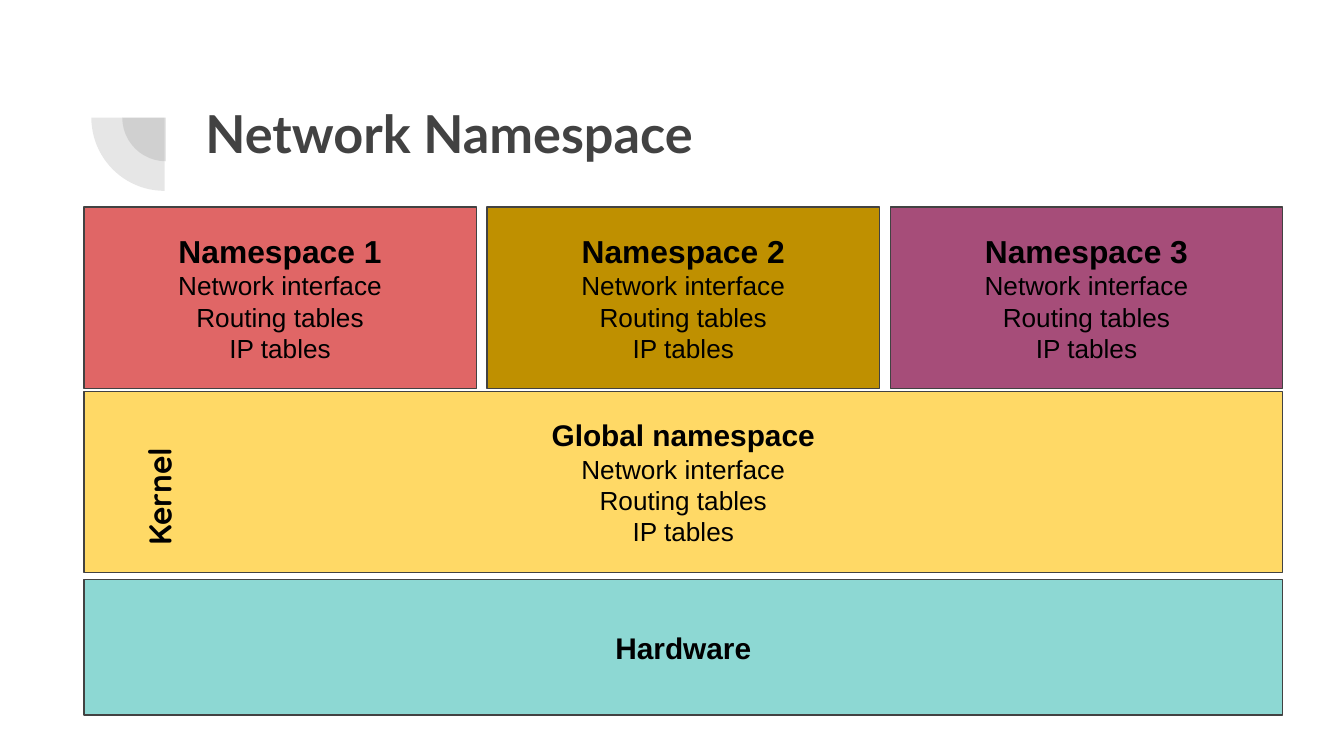
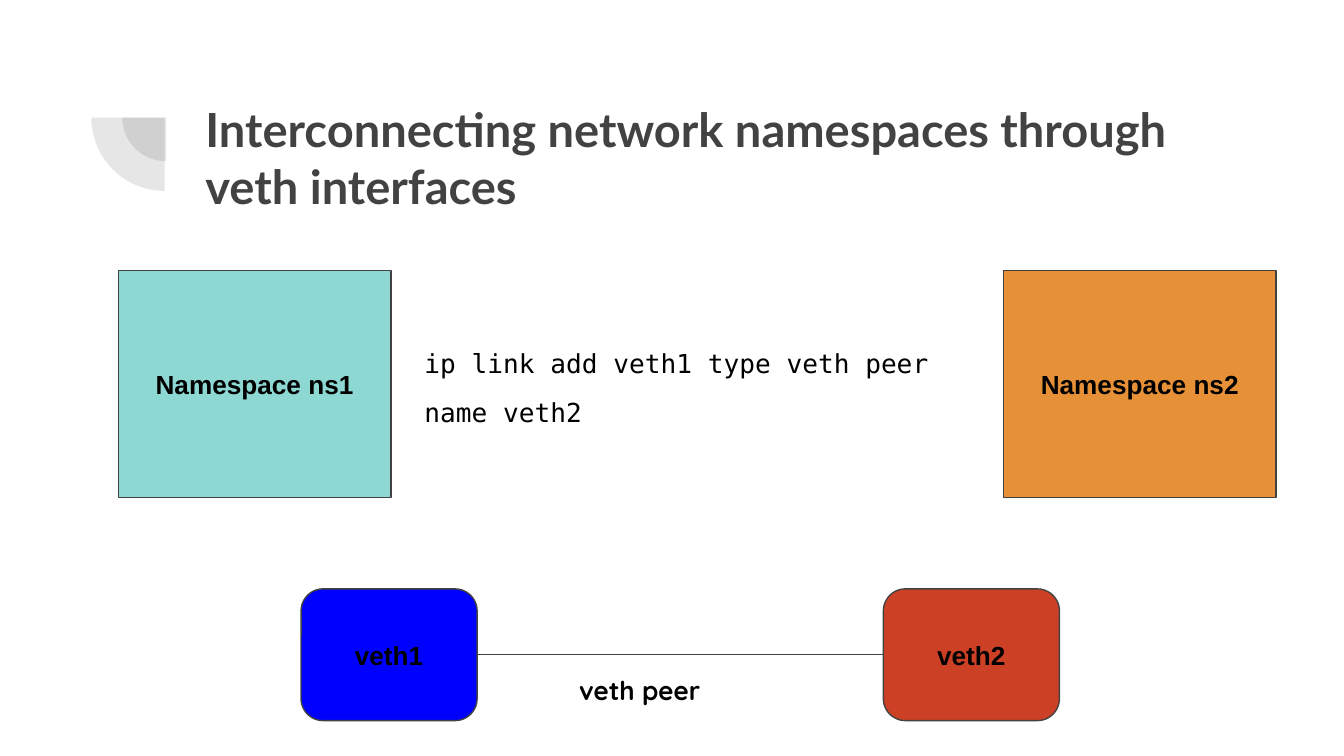
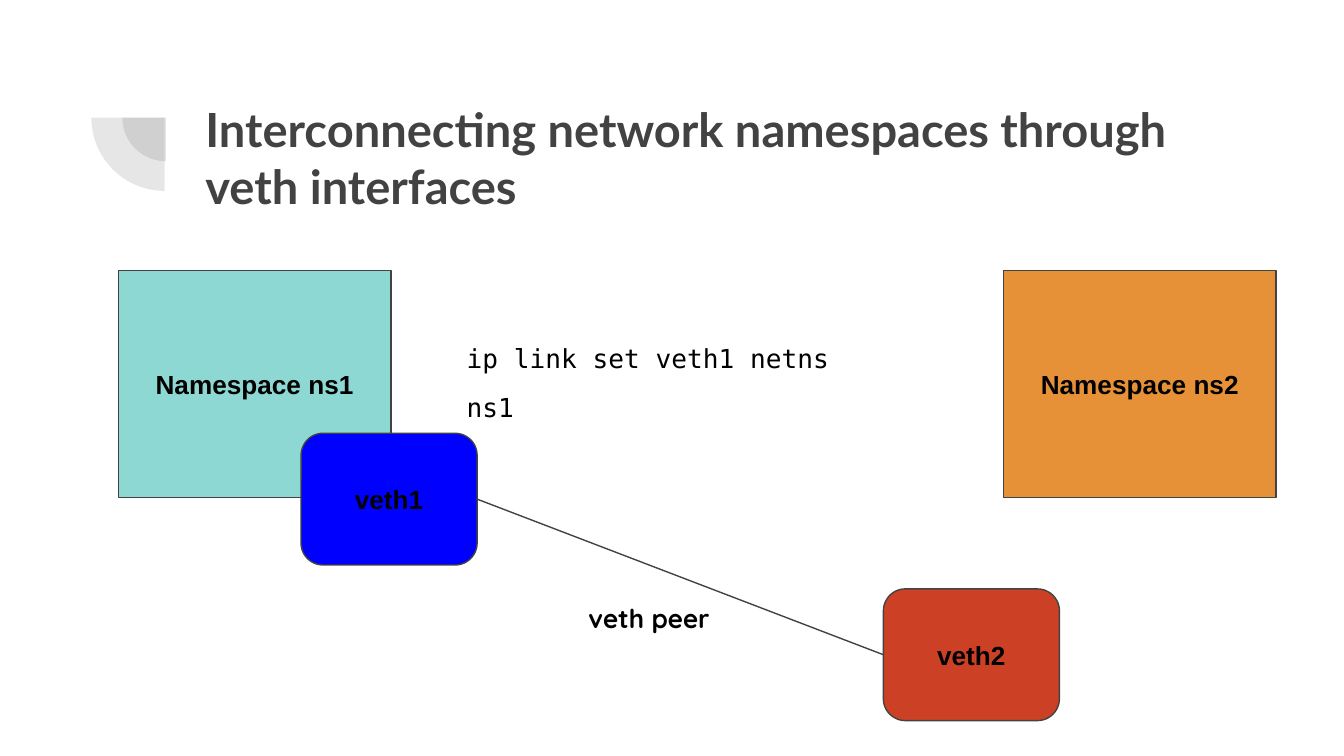
from dataclasses import dataclass

from lxml.etree import SubElement
from pptx import Presentation
from pptx.dml.color import RGBColor
from pptx.enum.shapes import MSO_CONNECTOR, MSO_SHAPE
from pptx.enum.text import MSO_ANCHOR, PP_ALIGN
from pptx.oxml.ns import qn
from pptx.util import Inches, Pt


@dataclass(frozen=True)
class Theme:
    ink: str = "424242"
    text: str = "000000"
    teal: str = "8DD8D3"
    yellow: str = "FFD966"
    coral: str = "E06666"
    gold: str = "BF9000"
    plum: str = "A64D79"
    orange: str = "E69138"
    blue: str = "0000FF"
    red: str = "CC4125"
    ornament_alpha: int = 13000
    body_font: str = "Arial"
    title_font: str = "Lato"
    label_font: str = "Quicksand"
    code_font: str = "DejaVu Sans Mono"
    title_size: float = 28
    long_title_size: float = 25.2
    large_size: float = 17
    heading_size: float = 16
    body_size: float = 14
    line_width: float = 0.75
    code_spacing: float = 1.57


theme = Theme()
presentation = Presentation()
presentation.slide_width = Inches(10)
presentation.slide_height = presentation.slide_width * 9 // 16
cell = presentation.slide_width / 100
inset = Inches(0.1)


def write_text(shape, text, size, font=theme.body_font, color=theme.text, bold=True, centered=False):
    text_frame = shape.text_frame
    text_frame.word_wrap = True
    text_frame.margin_left = text_frame.margin_right = inset
    text_frame.margin_top = text_frame.margin_bottom = inset
    text_frame.vertical_anchor = MSO_ANCHOR.MIDDLE if centered else MSO_ANCHOR.TOP
    text_frame.text = text
    for index, paragraph in enumerate(text_frame.paragraphs):
        paragraph.alignment = PP_ALIGN.CENTER if centered else PP_ALIGN.LEFT
        for run in paragraph.runs:
            run.font.name = font
            run.font.size = Pt(size if index == 0 else theme.body_size)
            run.font.bold = bold and index == 0
            run.font.color.rgb = RGBColor.from_string(color)


def add_block(slide, kind, box, fill, text="", size=theme.body_size):
    shape = slide.shapes.add_shape(kind, *[int(length * cell) for length in box])
    shape.shadow.inherit = False
    shape.fill.solid()
    shape.fill.fore_color.rgb = RGBColor.from_string(fill)
    if text:
        shape.line.color.rgb = RGBColor.from_string(theme.ink)
        shape.line.width = Pt(theme.line_width)
        write_text(shape, text, size, centered=True)
    else:
        shape.line.fill.background()
    return shape


veth_title = "Interconnecting network namespaces through veth interfaces"
slides = []
for title, size in (
    ("Network Namespace", theme.title_size),
    (veth_title, theme.long_title_size),
    (veth_title, theme.long_title_size),
):
    slide = presentation.slides.add_slide(presentation.slide_layouts[6])
    slides.append(slide)
    for box in ((9.1, 5.5, 6.5, 6.5), (6.8, 3.3, 10.9, 10.9)):
        ornament = add_block(slide, MSO_SHAPE.PIE, box, theme.ink)
        ornament.adjustments[0] = 108
        ornament.adjustments[1] = 162
        ornament.rotation = 270
        color_element = ornament.fill._xPr.find(qn("a:solidFill"))[0]
        SubElement(color_element, qn("a:alpha")).set("val", str(theme.ornament_alpha))
    title_box = slide.shapes.add_textbox(*[int(length * cell) for length in (14.3, 6.5, 76.9, 10.9)])
    write_text(title_box, title, size, theme.title_font, theme.ink)

stack_slide = slides[0]
resources = "\nNetwork interface\nRouting tables\nIP tables"
stack_left, stack_width = 6.24, 89.2
layer_height, namespace_gap = 13.5, 0.8
namespace_width = (stack_width - 2 * namespace_gap) / 3
add_block(stack_slide, MSO_SHAPE.RECTANGLE, (stack_left, 43.12, stack_width, 10.1),
          theme.teal, "Hardware", theme.heading_size)
add_block(stack_slide, MSO_SHAPE.RECTANGLE, (stack_left, 29.12, stack_width, layer_height),
          theme.yellow, "Global namespace" + resources, theme.heading_size)
kernel_label = stack_slide.shapes.add_textbox(*[int(length * cell) for length in (7, 34.3, 9.7, 4.9)])
kernel_label.rotation = 270
write_text(kernel_label, "Kernel", theme.large_size, theme.label_font)
for index, fill in enumerate((theme.coral, theme.gold, theme.plum)):
    left = stack_left + index * (namespace_width + namespace_gap)
    add_block(stack_slide, MSO_SHAPE.RECTANGLE, (left, 15.4, namespace_width, layer_height),
              fill, f"Namespace {index + 1}{resources}", theme.large_size)

for slide, command, command_box, space_after, veth1_top, peer_box in (
    (slides[1], "ip link add veth1 type veth peer name veth2",
     (29.8, 23.5, 41.7, 14.3), 0, 43.82, (42.1, 49.2, 13.1, 4.4)),
    (slides[2], "ip link set veth1 netns ns1",
     (32.94, 23.16, 32.8, 4.4), 18, 32.24, (42.8, 43.84, 13.1, 4.4)),
):
    for name, left, fill in (("ns1", 8.8, theme.teal), ("ns2", 74.66, theme.orange)):
        add_block(slide, MSO_SHAPE.RECTANGLE, (left, 20.13, 20.3, 16.9), fill, f"Namespace {name}")

    command_label = slide.shapes.add_textbox(*[int(length * cell) for length in command_box])
    write_text(command_label, command, theme.body_size, theme.code_font, bold=False)
    paragraph = command_label.text_frame.paragraphs[0]
    paragraph.line_spacing = theme.code_spacing
    paragraph.space_after = Pt(space_after)
    paragraph._p.get_or_add_pPr().set("marL", str(Inches(0.08)))

    veth1, veth2 = [
        add_block(slide, MSO_SHAPE.ROUNDED_RECTANGLE, (left, top, 13.1, 9.8), fill, name)
        for name, left, top, fill in (
            ("veth1", 22.4, veth1_top, theme.blue),
            ("veth2", 65.73, 43.82, theme.red),
        )
    ]
    connector = slide.shapes.add_connector(MSO_CONNECTOR.STRAIGHT, 0, 0, 0, 0)
    connector.begin_connect(veth1, 3)
    connector.end_connect(veth2, 1)
    connector.line.color.rgb = RGBColor.from_string(theme.ink)
    connector.line.width = Pt(theme.line_width)
    SubElement(connector._element.spPr, qn("a:effectLst"))

    peer_label = slide.shapes.add_textbox(*[int(length * cell) for length in peer_box])
    write_text(peer_label, "veth peer", theme.body_size, theme.label_font)

presentation.save("out.pptx")
